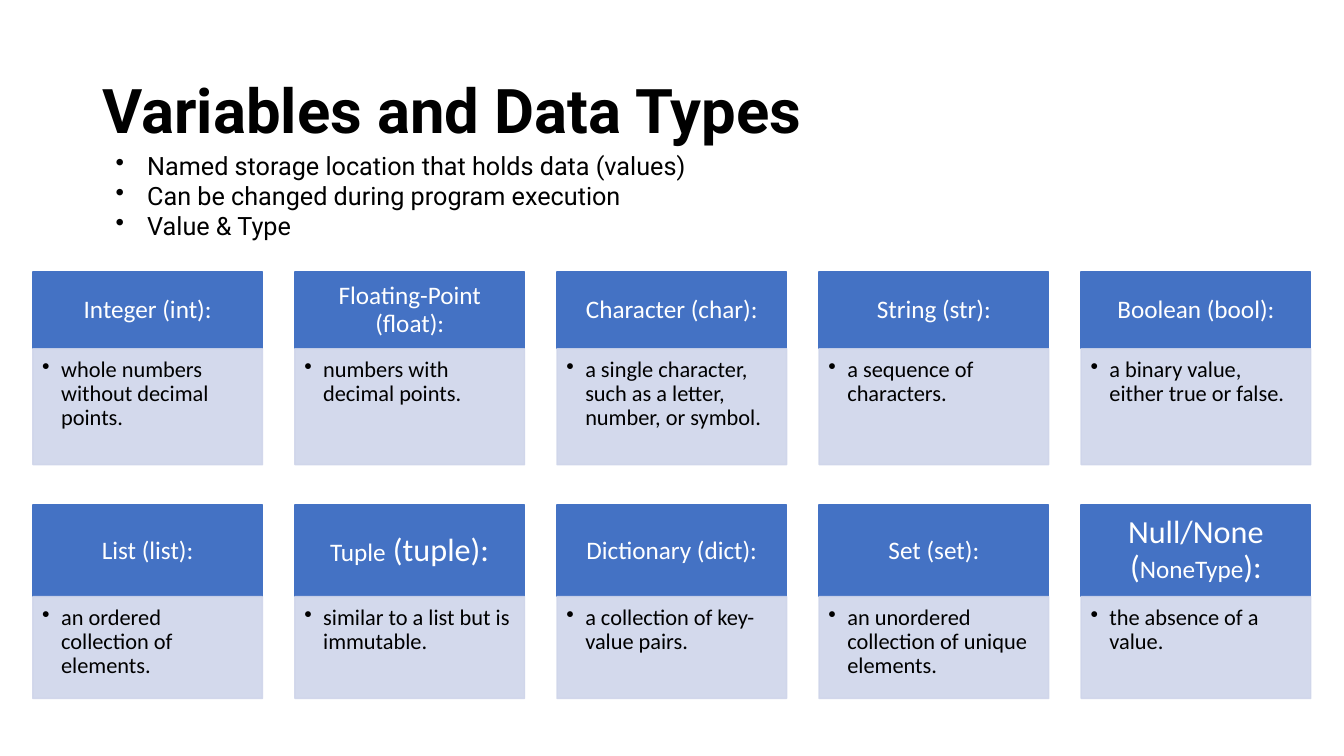
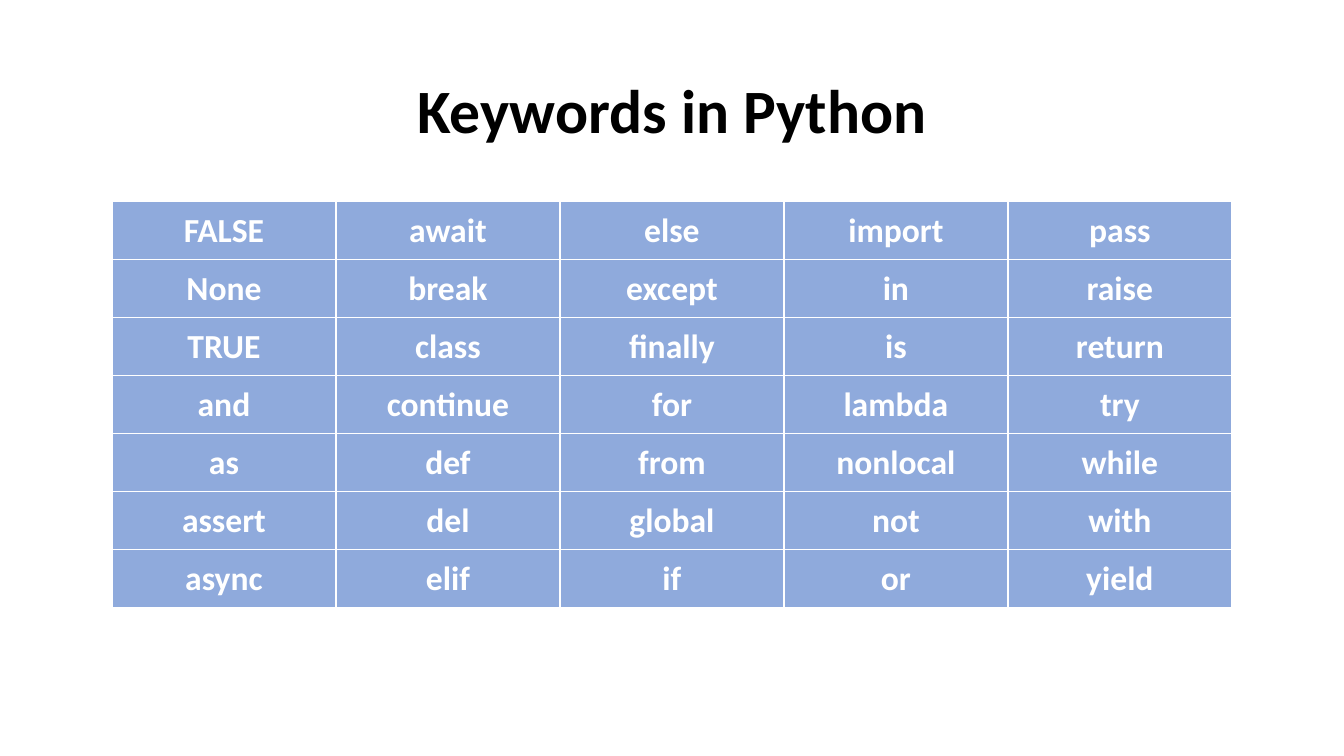
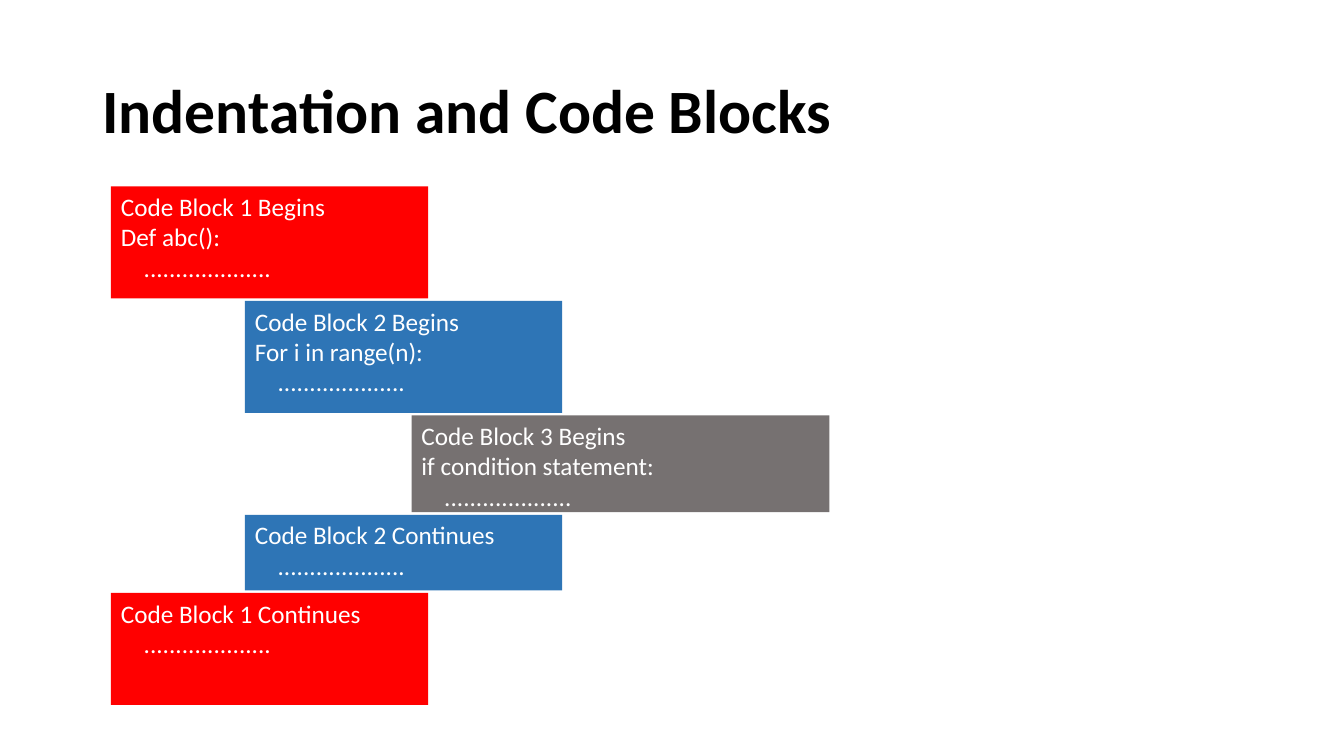
"""Build three slides on Python data types, keywords and indentation."""
from dataclasses import dataclass

from lxml.etree import SubElement
from pptx import Presentation
from pptx.dml.color import RGBColor
from pptx.enum.shapes import MSO_SHAPE as Preset
from pptx.enum.text import MSO_ANCHOR as Anchor, PP_ALIGN as Align
from pptx.oxml.ns import qn
from pptx.util import Pt


@dataclass(frozen=True)
class Theme:
    black: str = "000000"
    white: str = "FFFFFF"
    header: str = "4472C4"
    body: str = "CFD5EA"
    keyword: str = "8FAADC"
    red: str = "FF0000"
    blue: str = "2E75B6"
    gray: str = "767171"
    font: str = "Calibri"
    accent_font: str = "Roboto"
    title_size: float = 44
    table_size: float = 24
    large_size: float = 23
    text_size: float = 18
    detail_size: float = 16


class Deck:
    def __init__(self, theme):
        self.theme = theme
        self.presentation = Presentation()
        self.presentation.slide_width = Pt(960)
        self.presentation.slide_height = Pt(540)
        self.slide = None

    def start_slide(self, title, align=Align.LEFT, font=None):
        layout = self.presentation.slide_layouts[6]
        self.slide = self.presentation.slides.add_slide(layout)
        self.text_box((66.2, 28.8, 828, 104.4), [title], anchor=Anchor.MIDDLE, align=align,
                      font=font, size=self.theme.title_size, bold=True, spacing=0.9)

    def text_box(self, place, lines, **style):
        shape = self.slide.shapes.add_textbox(*map(Pt, place))
        self.fill_frame(shape.text_frame, lines, **style)

    def rectangle(self, place, lines, fill, outlined=False, opacity=100, **style):
        shape = self.slide.shapes.add_shape(Preset.RECTANGLE, *map(Pt, place))
        shape.shadow.inherit = False
        fills = [shape.fill]
        if outlined:
            shape.line.width = Pt(1)
            fills.append(shape.line.fill)
        else:
            shape.line.fill.background()
        for paint in fills:
            paint.solid()
            paint.fore_color.rgb = RGBColor.from_string(fill)
        if opacity < 100:
            for color in shape.element.spPr.iter(qn("a:srgbClr")):
                SubElement(color, qn("a:alpha"), val=str(opacity * 1000))
        self.fill_frame(shape.text_frame, lines, **style)

    def fill_frame(self, frame, lines, anchor=Anchor.TOP, insets=(7.2, 3.6, 7.2, 3.6), **style):
        frame.word_wrap = True
        frame.vertical_anchor = anchor
        (frame.margin_left, frame.margin_top,
         frame.margin_right, frame.margin_bottom) = map(Pt, insets)
        for index, line in enumerate(lines):
            paragraph = frame.add_paragraph() if index else frame.paragraphs[0]
            self.fill_paragraph(paragraph, line, **style)

    def fill_paragraph(self, paragraph, line, size=None, color=None, font=None, bold=False,
                       align=Align.LEFT, spacing=1.0, indent=0):
        paragraph.alignment = align
        paragraph.line_spacing = spacing
        if indent:
            properties = paragraph._p.get_or_add_pPr()
            properties.set("marL", str(Pt(indent)))
            properties.set("indent", str(-Pt(indent)))
            SubElement(properties, qn("a:buChar"), char="•")
        size = size or self.theme.text_size
        if isinstance(line, str):
            paragraph.text = line
            targets = [(paragraph.font, size)]
        else:
            targets = []
            for text, run_size in line:
                run = paragraph.add_run()
                run.text = text
                targets.append((run.font, run_size))
        for target, target_size in targets:
            target.name = font or self.theme.font
            target.size = Pt(target_size)
            target.bold = bold
            target.color.rgb = RGBColor.from_string(color or self.theme.black)

    def card(self, left, top, width, header_height, body_height, header, detail):
        self.rectangle((left, top, width, header_height), [header], self.theme.header,
                       outlined=True, anchor=Anchor.MIDDLE, insets=(10, 5.8, 10, 5.8),
                       color=self.theme.white, align=Align.CENTER, spacing=0.9)
        self.rectangle((left, top + header_height, width, body_height), [detail],
                       self.theme.body, outlined=True, opacity=90,
                       insets=(6.7, 6.7, 8.9, 10), size=self.theme.detail_size,
                       spacing=0.9, indent=13.5)

    def table(self, left, top, column_width, row_height, rows):
        row_count, column_count = len(rows), len(rows[0])
        table = self.slide.shapes.add_table(
            row_count, column_count, Pt(left), Pt(top),
            Pt(column_width * column_count), Pt(row_height * row_count)).table
        table.first_row = table.horz_banding = False
        for column in table.columns:
            column.width = Pt(column_width)
        for table_row, words in zip(table.rows, rows):
            table_row.height = Pt(row_height)
            for cell, word in zip(table_row.cells, words):
                self.table_cell(cell, word)

    def table_cell(self, cell, word):
        cell.vertical_anchor = Anchor.MIDDLE
        self.fill_paragraph(cell.text_frame.paragraphs[0], word, size=self.theme.table_size,
                            color=self.theme.white, bold=True, align=Align.CENTER)
        properties = cell._tc.get_or_add_tcPr()
        for side in ("lnL", "lnR", "lnT", "lnB"):
            border = SubElement(properties, qn(f"a:{side}"), w=str(Pt(1)))
            paint = SubElement(border, qn("a:solidFill"))
            SubElement(paint, qn("a:srgbClr"), val=self.theme.white)
        cell.fill.solid()
        cell.fill.fore_color.rgb = RGBColor.from_string(self.theme.keyword)


def add_data_types(deck):
    theme = deck.theme
    deck.start_slide("Variables and Data Types", font=theme.accent_font)
    small, large = theme.text_size, theme.large_size
    card_rows = [
        (194.4, 54.7, 82.8, [
            ("Integer (int):", "whole numbers without decimal points."),
            ("Floating-Point (float):", "numbers with decimal points."),
            ("Character (char):", "a single character, such as a letter, number, or symbol."),
            ("String (str):", "a sequence of characters."),
            ("Boolean (bool):", "a binary value, either true or false."),
        ]),
        (360.7, 65.5, 72.7, [
            ("List (list):", "an ordered collection of elements."),
            ([("Tuple", small), (" (tuple):", large)], "similar to a list but is immutable."),
            ("Dictionary (dict):", "a collection of key-value pairs."),
            ("Set (set):", "an unordered collection of unique elements."),
            ([("Null/None (", large), ("NoneType", small), ("):", large)],
             "the absence of a value."),
        ]),
    ]
    for top, header_height, body_height, cards in card_rows:
        for column, (header, detail) in enumerate(cards):
            deck.card(23.5 + 187.2 * column, top, 164, header_height, body_height,
                      header, detail)
    deck.text_box((75.6, 103.7, 465.8, 72.7), [
        "Named storage location that holds data (values)",
        "Can be changed during program execution",
        "Value & Type",
    ], font=theme.accent_font, indent=22.5)


def add_keywords(deck):
    deck.start_slide("Keywords in Python", align=Align.CENTER)
    deck.table(80, 144, 160, 41.45, [
        ("FALSE", "await", "else", "import", "pass"),
        ("None", "break", "except", "in", "raise"),
        ("TRUE", "class", "finally", "is", "return"),
        ("and", "continue", "for", "lambda", "try"),
        ("as", "def", "from", "nonlocal", "while"),
        ("assert", "del", "global", "not", "with"),
        ("async", "elif", "if", "or", "yield"),
    ])


def add_code_blocks(deck):
    theme = deck.theme
    deck.start_slide("Indentation and Code Blocks")
    outer, middle, inner = (79.3, 226.6, theme.red), (175, 226.6, theme.blue), (294, 298.5, theme.gray)
    blocks = [
        (outer, 80, ["Code Block 1 Begins", "Def abc():"]),
        (middle, 80, ["Code Block 2 Begins", "For i in range(n):"]),
        (inner, 69.1, ["Code Block 3 Begins", "if condition statement:"]),
        (middle, 54, ["Code Block 2 Continues"]),
        (outer, 80, ["Code Block 1 Continues"]),
    ]
    top, gap = 133.2, 1.8
    for (left, width, fill), height, lines in blocks:
        deck.rectangle((left, top, width, height), lines + ["    ...................."],
                       fill, color=theme.white)
        top += height + gap


def main():
    deck = Deck(Theme())
    add_data_types(deck)
    add_keywords(deck)
    add_code_blocks(deck)
    deck.presentation.save("out.pptx")


if __name__ == "__main__":
    main()
